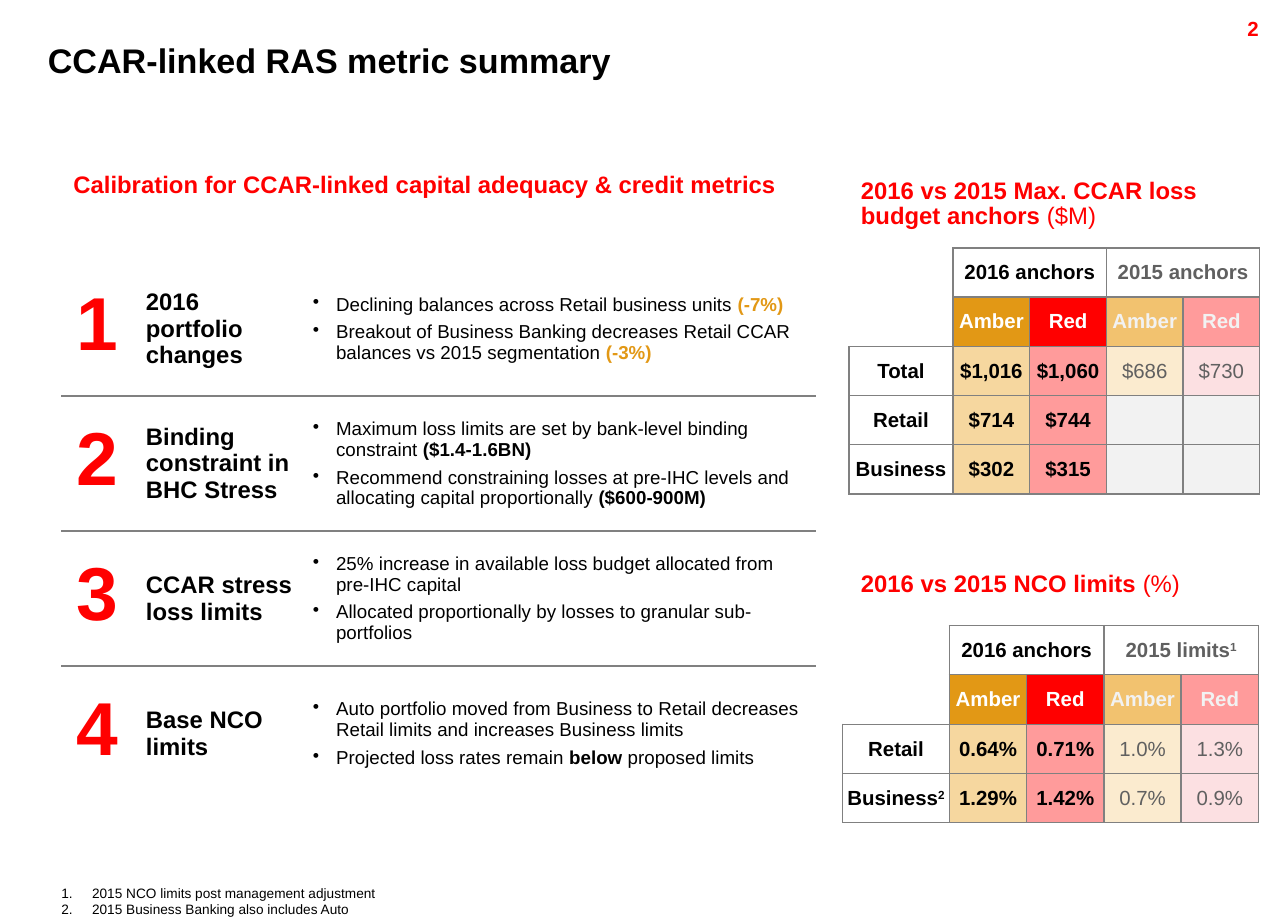
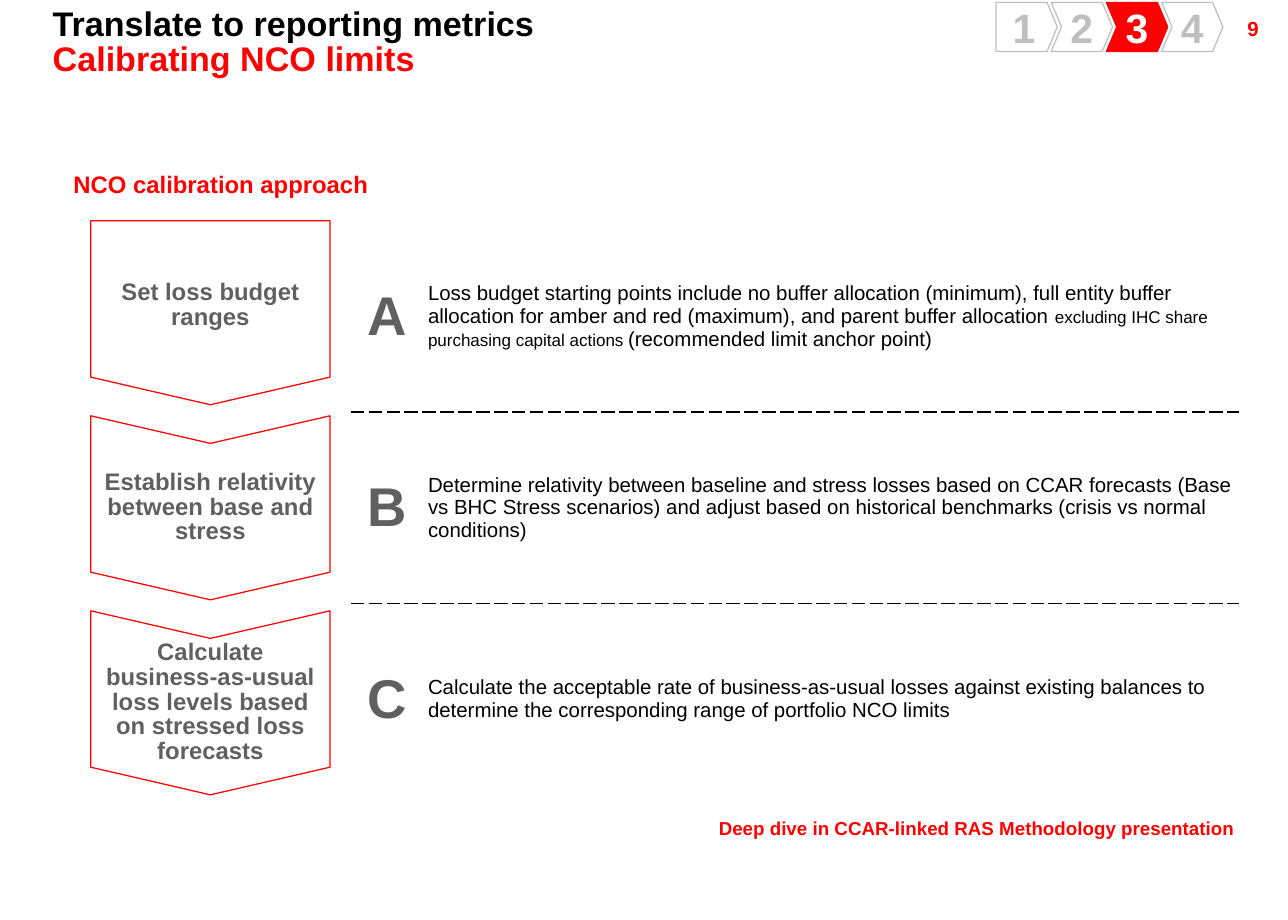
from lxml import etree
from pptx import Presentation
from pptx import util as u
from pptx.dml.color import RGBColor
from pptx.enum import shapes, text
from pptx.oxml import ns

FONT = "Arial"
COLORS = {
    "red": "FF0000", "black": "000000", "white": "FFFFFF", "gray": "606060",
    "rule": "808080", "outline": "BFBFBF", "blank": "F2F2F2", "amber": "E29815",
    "amber_mid": "F2C26F", "amber_light": "F6D79F", "amber_pale": "FBEBCF",
    "red_mid": "FF9B9B", "red_pale": "FCE0E2",
}
LEFT, CENTER, RIGHT = text.PP_ALIGN.LEFT, text.PP_ALIGN.CENTER, text.PP_ALIGN.RIGHT
TIGHT = 0.86
PLAIN_TABLE = "{2D5ABB26-0587-4C30-8999-92F81FD0307C}"


def rgb(name):
    return RGBColor.from_string(COLORS[name])


def set_font(font, size=None, color=None, bold=None):
    if size is not None:
        font.size = u.Pt(size)
    if color is not None:
        font.color.rgb = rgb(color)
    if bold is not None:
        font.bold = bold


def write(paragraph, pieces, size, color="black", bold=False, align=LEFT, line=1.0, before=0):
    paragraph.alignment = align
    paragraph.line_spacing = line
    paragraph.space_before = u.Pt(before)
    paragraph.font.name = FONT
    set_font(paragraph.font, size, color, bold)
    for piece in [pieces] if isinstance(pieces, str) else pieces:
        words, changes = (piece, {}) if isinstance(piece, str) else piece
        run = paragraph.add_run()
        run.text = words
        set_font(run.font, changes.get("size"), changes.get("color"), changes.get("bold"))
        if changes.get("raised"):
            run._r.get_or_add_rPr().set("baseline", "30000")


def paragraphs_for(frame, count):
    return [frame.paragraphs[0]] + [frame.add_paragraph() for _ in range(count - 1)]


def set_bullet(paragraph, indent, tag, **attributes):
    properties = paragraph._p.get_or_add_pPr()
    properties.set("marL", str(u.Inches(indent)))
    properties.set("indent", str(-u.Inches(indent)))
    etree.SubElement(properties, ns.qn(tag), **attributes)


def set_margins(target, horizontal, vertical=None):
    vertical = horizontal if vertical is None else vertical
    target.margin_left = target.margin_right = u.Inches(horizontal)
    target.margin_top = target.margin_bottom = u.Inches(vertical)


def place(shape, left, top, width, height):
    shape.left, shape.top = u.Inches(left), u.Inches(top)
    shape.width, shape.height = u.Inches(width), u.Inches(height)
    frame = shape.text_frame
    frame.word_wrap = True
    frame.auto_size = text.MSO_AUTO_SIZE.NONE
    frame.vertical_anchor = text.MSO_ANCHOR.TOP
    return frame


def add_title(slide, left, top, width, height, lines):
    frame = place(slide.shapes.title, left, top, width, height)
    set_margins(frame, 0.1, 0.05)
    for paragraph, (words, color) in zip(paragraphs_for(frame, len(lines)), lines):
        write(paragraph, words, 20, color, True, line=TIGHT)


def add_text(slide, left, top, width, height, pieces, size, align=LEFT, margin=(0.1, 0.05),
             line=TIGHT):
    shape = slide.shapes.add_textbox(0, 0, 0, 0)
    frame = place(shape, left, top, width, height)
    set_margins(frame, *margin)
    write(frame.paragraphs[0], pieces, size, "red", True, align, line)


def add_page_number(slide, number):
    add_text(slide, 9.36, 0.11, 1, 0.24, number, 12, RIGHT)


def add_heading(slide, left, top, width, height, pieces):
    add_text(slide, left, top, width, height, pieces, 14)


def add_table(slide, left, top, columns, row_height, row_count):
    frame = slide.shapes.add_table(
        row_count, len(columns), u.Inches(left), u.Inches(top),
        u.Inches(sum(columns)), u.Inches(row_height * row_count))
    table = frame.table
    table.first_row = table.horz_banding = False
    table._tbl.tblPr.find(ns.qn("a:tableStyleId")).text = PLAIN_TABLE
    for column, width in zip(table.columns, columns):
        column.width = u.Inches(width)
    for row in table.rows:
        row.height = u.Inches(row_height)
    for cell in table.iter_cells():
        cell.vertical_anchor = text.MSO_ANCHOR.MIDDLE
        cell.fill.background()
    return table


def set_borders(cell, sides, color, dash="solid"):
    properties = cell._tc.get_or_add_tcPr()
    for index, side in enumerate(sides):
        line = etree.Element(ns.qn("a:ln" + side), w=str(u.Pt(1)))
        fill = etree.SubElement(line, ns.qn("a:solidFill"))
        etree.SubElement(fill, ns.qn("a:srgbClr"), val=COLORS[color])
        etree.SubElement(line, ns.qn("a:prstDash"), val=dash)
        properties.insert(index, line)


def inner_sides(index, count):
    return ("T" if index else "") + ("B" if index < count - 1 else "")


def add_calibration_table(slide, left, top, topics):
    table = add_table(slide, left, top, [0.59, 1.41, 4.15], 1.1, len(topics))
    for index, (topic, points) in enumerate(topics):
        number, name, details = cells = [table.cell(index, column) for column in range(3)]
        for cell in cells:
            set_borders(cell, inner_sides(index, len(topics)), "rule")
        write(number.text_frame.paragraphs[0], str(index + 1), 44, "red", True, CENTER, TIGHT)
        write(name.text_frame.paragraphs[0], topic, 14, bold=True)
        set_margins(details, 0.05)
        for paragraph, pieces in zip(paragraphs_for(details.text_frame, len(points)), points):
            set_bullet(paragraph, 0.19, "a:buChar", char="•")
            write(paragraph, pieces, 11, before=4)


def add_anchor_table(slide, left, top, width, label_width, last_header, rows):
    columns = [label_width] + [(width - label_width) / 4] * 4
    table = add_table(slide, left, top, columns, 0.4, len(rows) + 2)

    def fill_cell(row, column, pieces, color="black", bold=True, fill=None):
        cell = table.cell(row, column)
        set_margins(cell, 0)
        if fill:
            cell.fill.solid()
            cell.fill.fore_color.rgb = rgb(fill)
        if pieces:
            write(cell.text_frame.paragraphs[0], pieces, 12, color, bold, CENTER)

    for row in range(len(rows) + 2):
        for column in range(5):
            if row > 1 or column > 0:
                set_borders(table.cell(row, column), "LRTB", "rule")
    table.cell(0, 0).merge(table.cell(1, 0))
    for column in (1, 3):
        table.cell(0, column).merge(table.cell(0, column + 1))
    fill_cell(0, 1, "2016 anchors")
    fill_cell(0, 3, last_header, "gray")
    for column, fill in enumerate(["amber", "red", "amber_mid", "red_mid"], 1):
        label = "Amber" if column % 2 else "Red"
        fill_cell(1, column, label, "white" if column < 3 else "blank", fill=fill)
    value_fills = ["amber_light", "red_mid", "amber_pale", "red_pale"]
    for row, (label, *values) in enumerate(rows, 2):
        fill_cell(row, 0, label)
        for column, (value, fill) in enumerate(zip(values, value_fills), 1):
            current = column < 3
            fill_cell(row, column, value, "black" if current else "gray", current,
                      fill if value else "blank")


def add_footnotes(slide, left, top, width, height, notes):
    frame = place(slide.placeholders[1], left, top, width, height)
    set_margins(frame, 0)
    for paragraph, note in zip(paragraphs_for(frame, len(notes)), notes):
        set_bullet(paragraph, 0.25, "a:buAutoNum", type="arabicPeriod")
        write(paragraph, note, 8)


def add_arrow(slide, first, left, top, width, height, adjustment, fill, line):
    kind = shapes.MSO_SHAPE.PENTAGON if first else shapes.MSO_SHAPE.CHEVRON
    shape = slide.shapes.add_shape(
        kind, u.Inches(left), u.Inches(top), u.Inches(width), u.Inches(height))
    shape.adjustments[0] = adjustment
    shape.shadow.inherit = False
    shape.fill.solid()
    shape.fill.fore_color.rgb = rgb(fill)
    shape.line.color.rgb = rgb(line)
    shape.line.width = u.Pt(0.75)
    shape.text_frame.word_wrap = True
    shape.text_frame.vertical_anchor = text.MSO_ANCHOR.MIDDLE
    return shape


def add_tracker(slide, left, top, count, active):
    for index in range(count):
        chosen = index + 1 == active
        fill, line, color = ("red", "red", "white") if chosen else ("white", "outline", "outline")
        arrow = add_arrow(slide, index == 0, left + index * 0.45, top, 0.5, 0.4, 0.21, fill, line)
        set_margins(arrow.text_frame, 0)
        write(arrow.text_frame.paragraphs[0], str(index + 1), 24, color, True, CENTER)


def add_step_arrows(slide, left, top, labels):
    width, height, pitch = 1.95, 1.5, 1.59
    shift = (width - height) / 2
    for index, label in enumerate(labels):
        arrow = add_arrow(slide, index == 0, left + shift, top + index * pitch - shift,
                          height, width, 0.15, "white", "red")
        arrow.rotation = 90
        frame = arrow.text_frame
        set_margins(frame, 0.1 if index else 0.05)
        frame._txBody.bodyPr.set("vert", "vert270")
        write(frame.paragraphs[0], label, 14, "gray", True, CENTER, TIGHT)


def add_step_table(slide, left, top, steps):
    table = add_table(slide, left, top, [2.36, 0.59, 6.65], 1.56, len(steps))
    for index, (letter, pieces) in enumerate(steps):
        letter_cell, detail_cell = table.cell(index, 1), table.cell(index, 2)
        for cell in (letter_cell, detail_cell):
            set_margins(cell, 0.04)
            set_borders(cell, inner_sides(index, len(steps)), "black", "dash")
        write(letter_cell.text_frame.paragraphs[0], letter, 32, "gray", True, CENTER, before=6)
        write(detail_cell.text_frame.paragraphs[0], pieces, 12, before=6)


def build_summary(presentation):
    slide = presentation.slides.add_slide(presentation.slide_layouts[1])
    add_title(slide, 0.29, 0.32, 10.21, 0.39, [("CCAR-linked RAS metric summary", "black")])
    add_page_number(slide, "2")
    add_heading(slide, 0.5, 1.37, 6.15, 0.3,
                "Calibration for CCAR-linked capital adequacy & credit metrics")
    amber, strong, light = {"color": "amber", "bold": True}, {"bold": True}, {"bold": False}
    add_calibration_table(slide, 0.5, 2.13, [
        ("2016 portfolio changes", [
            ["Declining balances across Retail business units ", ("(-7%)", amber)],
            ["Breakout of Business Banking decreases Retail CCAR balances vs 2015 segmentation ",
             ("(-3%)", amber)]]),
        ("Binding constraint in BHC Stress", [
            ["Maximum loss limits are set by bank-level binding constraint ",
             ("($1.4-1.6BN)", strong)],
            ["Recommend constraining losses at pre-IHC levels and allocating capital "
             "proportionally ", ("($600-900M)", strong)]]),
        ("CCAR stress loss limits", [
            "25% increase in available loss budget allocated from pre-IHC capital",
            "Allocated proportionally by losses to granular sub-portfolios"]),
        ("Base NCO limits", [
            "Auto portfolio moved from Business to Retail decreases Retail limits and "
            "increases Business limits",
            ["Projected loss rates remain ", ("below", strong), " proposed limits"]]),
    ])
    add_heading(slide, 6.92, 1.42, 3.36, 0.51,
                ["2016 vs 2015 Max. CCAR loss budget anchors ", ("($M)", light)])
    add_anchor_table(slide, 6.92, 2.02, 3.35, 0.85, "2015 anchors", [
        ("Total", "$1,016", "$1,060", "$686", "$730"),
        ("Retail", "$714", "$744", None, None),
        ("Business", "$302", "$315", None, None)])
    add_heading(slide, 6.92, 4.62, 3.17, 0.3, ["2016 vs 2015 NCO limits ", ("(%)", light)])
    raised = {"raised": True}
    add_anchor_table(slide, 6.87, 5.1, 3.39, 0.87, ["2015 limits", ("1", raised)], [
        ("Retail", "0.64%", "0.71%", "1.0%", "1.3%"),
        (["Business", ("2", raised)], "1.29%", "1.42%", "0.7%", "0.9%")])
    add_footnotes(slide, 0.5, 7.21, 2.59, 0.27, [
        "2015 NCO limits post management adjustment",
        "2015 Business Banking also includes Auto"])


def build_calibration(presentation):
    slide = presentation.slides.add_slide(presentation.slide_layouts[5])
    add_title(slide, 0.33, 0.02, 7.7, 0.68, [
        ("Translate to reporting metrics", "black"), ("Calibrating NCO limits", "red")])
    add_page_number(slide, "9")
    add_tracker(slide, 8.12, 0.02, 4, 3)
    add_heading(slide, 0.5, 1.37, 4.8, 0.3, "NCO calibration approach")
    add_step_table(slide, 0.5, 1.8, [
        ("A", ["Loss budget starting points include no buffer allocation (minimum), full entity "
               "buffer allocation for amber and red (maximum), and parent buffer allocation ",
               ("excluding IHC share purchasing capital actions ", {"size": 10}),
               "(recommended limit anchor point)"]),
        ("B", "Determine relativity between baseline and stress losses based on CCAR forecasts "
              "(Base vs BHC Stress scenarios) and adjust based on historical benchmarks "
              "(crisis vs normal conditions)"),
        ("C", "Calculate the acceptable rate of business-as-usual losses against existing "
              "balances to determine the corresponding range of portfolio NCO limits")])
    add_step_arrows(slide, 0.74, 1.8, [
        "Set loss budget ranges", "Establish relativity between base and stress",
        "Calculate business-as-usual loss levels based on stressed loss forecasts"])
    add_text(slide, 5.86, 6.66, 4.24, 0.19,
             "Deep dive in CCAR-linked RAS Methodology presentation", 11, LEFT, (0, 0), 1.0)


def main():
    presentation = Presentation()
    presentation.slide_width, presentation.slide_height = u.Inches(10.5), u.Inches(7.5)
    build_summary(presentation)
    build_calibration(presentation)
    presentation.save("out.pptx")


if __name__ == "__main__":
    main()
